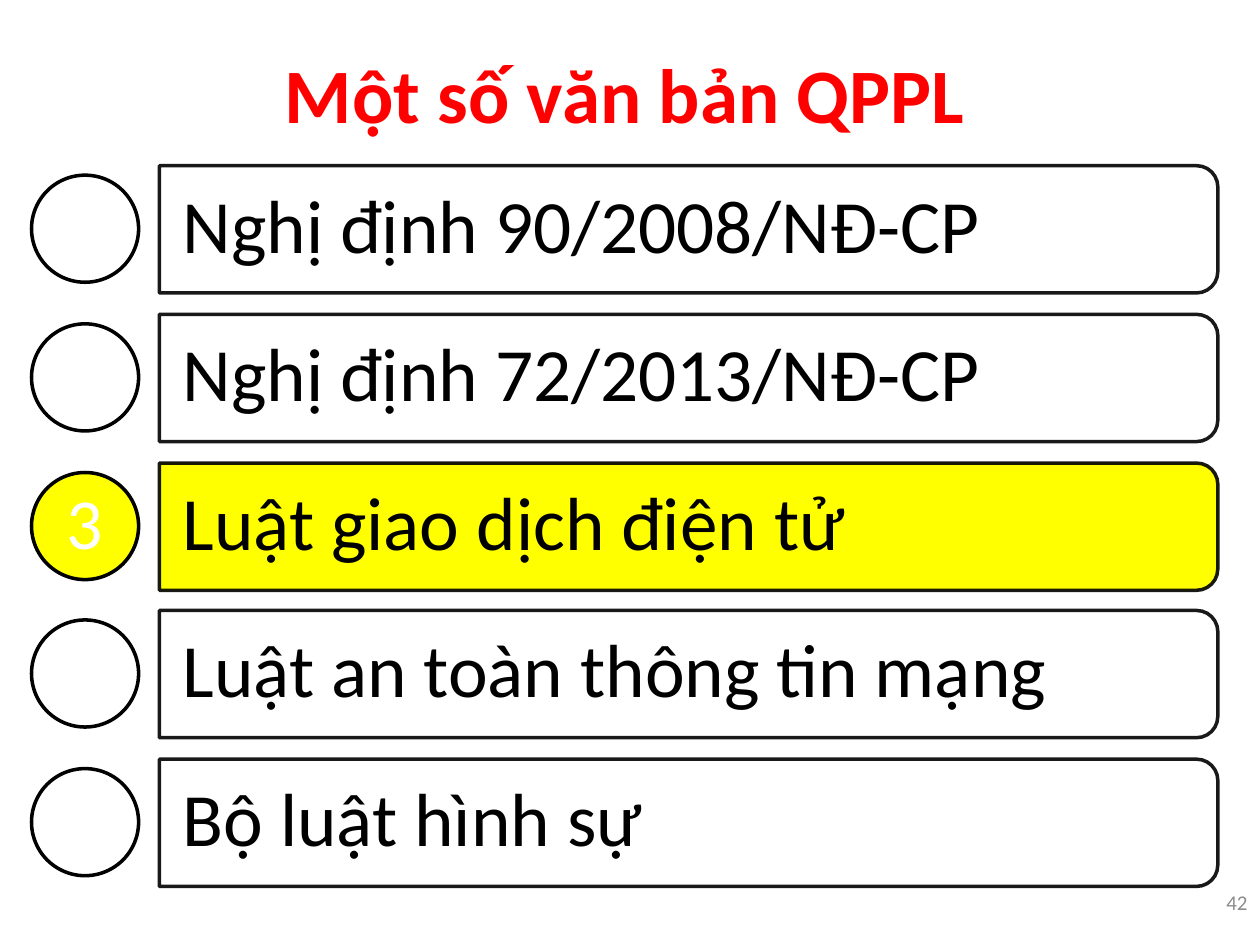
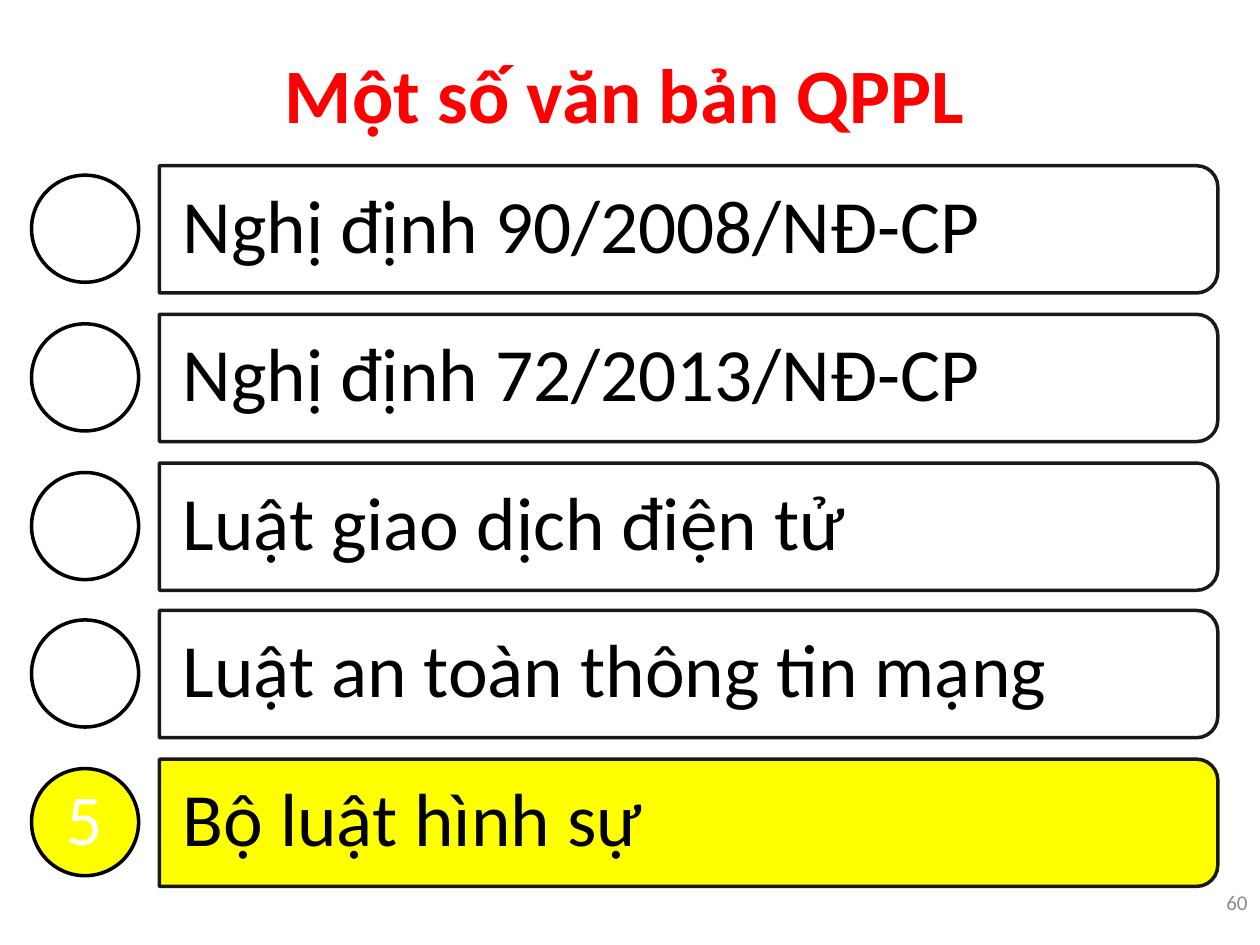
from dataclasses import dataclass
from typing import NamedTuple

from lxml.etree import SubElement
from pptx import Presentation
from pptx.dml.color import RGBColor
from pptx.enum.shapes import MSO_SHAPE as Shape
from pptx.enum.text import MSO_ANCHOR as Anchor, PP_ALIGN as Align
from pptx.oxml.ns import qn
from pptx.util import Emu, Pt

EMU_PER_PX = 9144
TITLE_ONLY_LAYOUT = 5


@dataclass(frozen=True)
class Theme:
    font: str = "Calibri"
    paper: str = "FFFFFF"
    ink: str = "000000"
    highlight: str = "FFFF00"
    heading: str = "FF0000"
    muted: str = "8C8C8C"
    heading_size: int = 44
    law_size: int = 43
    number_size: int = 41
    page_size: int = 12
    outline: int = 2
    opacity: int = 90


class Box(NamedTuple):
    left: int
    top: int
    width: int
    height: int

    def emu(self) -> list[Emu]:
        return [px(length) for length in self]

    def inset(self, margin: int) -> "Box":
        return Box(self.left + margin, self.top + margin,
                   self.width - 2 * margin, self.height - 2 * margin)

    def turned(self) -> "Box":
        shift = (self.width - self.height) // 2
        return Box(self.left + shift, self.top - shift, self.height, self.width)


class Agenda(NamedTuple):
    current: int
    page: str


THEME = Theme()
HEADING = "Một số văn bản QPPL"
LAWS = (
    "Nghị định 90/2008/NĐ-CP",
    "Nghị định 72/2013/NĐ-CP",
    "Luật giao dịch điện tử",
    "Luật an toàn thông tin mạng",
    "Bộ luật hình sự",
)
AGENDAS = (Agenda(3, "42"), Agenda(5, "60"))

HEADING_BOX = Box(25, 30, 942, 87)
PAGE_BOX = Box(933, 682, 67, 68)
FIRST_ROW_TOP = 131
LAST_ROW_TOP = 602
BAR_LEFT, BAR_WIDTH, BAR_HEIGHT = 127, 840, 101
BADGE_LEFT, BADGE_SIZE = 25, 85


def px(length: int) -> Emu:
    return Emu(length * EMU_PER_PX)


def color(code: str) -> RGBColor:
    return RGBColor.from_string(code)


def write(frame, text: str, size: int, code: str, align: Align,
          bold: bool = False, spacing: float = 1.0) -> None:
    frame.word_wrap = True
    frame.vertical_anchor = Anchor.MIDDLE
    frame.text = text
    paragraph = frame.paragraphs[0]
    paragraph.alignment = align
    paragraph.line_spacing = spacing
    paragraph.font.name = THEME.font
    paragraph.font.size = Pt(size)
    paragraph.font.bold = bold
    paragraph.font.color.rgb = color(code)


def add_label(slide, box: Box, text: str, size: int, code: str, align: Align,
              margins: tuple[int, int] = (10, 5), spacing: float = 1.0) -> None:
    frame = slide.shapes.add_textbox(*box.emu()).text_frame
    frame.margin_left = frame.margin_right = px(margins[0])
    frame.margin_top = frame.margin_bottom = px(margins[1])
    write(frame, text, size, code, align, spacing=spacing)


def add_outlined(slide, preset: Shape, box: Box, fill: str):
    outlined = slide.shapes.add_shape(preset, *box.emu())
    outlined.shadow.inherit = False
    outlined.fill.solid()
    outlined.fill.fore_color.rgb = color(fill)
    outlined.line.color.rgb = color(THEME.ink)
    outlined.line.width = Pt(THEME.outline)
    return outlined


def set_opacity(solid_fill, percent: int) -> None:
    SubElement(solid_fill[0], qn("a:alpha")).set("val", str(percent * 1000))


def add_law(slide, number: int, law: str, is_current: bool) -> None:
    progress = (number - 1) / (len(LAWS) - 1)
    top = FIRST_ROW_TOP + round((LAST_ROW_TOP - FIRST_ROW_TOP) * progress)
    fill = THEME.highlight if is_current else THEME.paper

    bar_box = Box(BAR_LEFT, top, BAR_WIDTH, BAR_HEIGHT)
    bar = add_outlined(slide, Shape.ROUND_2_SAME_RECTANGLE, bar_box.turned(), fill)
    bar.rotation = 90
    properties = bar._element.spPr
    set_opacity(properties.find(qn("a:ln")).find(qn("a:solidFill")), THEME.opacity)
    if not is_current:
        set_opacity(properties.find(qn("a:solidFill")), THEME.opacity)
    add_label(slide, bar_box.inset(5)._replace(left=BAR_LEFT), law, THEME.law_size,
              THEME.ink, Align.LEFT, margins=(18, 12), spacing=0.9)

    badge_box = Box(BADGE_LEFT, top + (BAR_HEIGHT - BADGE_SIZE) // 2,
                    BADGE_SIZE, BADGE_SIZE)
    add_outlined(slide, Shape.OVAL, badge_box, fill)
    if is_current:
        add_label(slide, badge_box.inset(12), str(number), THEME.number_size,
                  THEME.paper, Align.CENTER, margins=(0, 0), spacing=0.9)


def add_agenda(deck, agenda: Agenda) -> None:
    slide = deck.slides.add_slide(deck.slide_layouts[TITLE_ONLY_LAYOUT])
    heading = slide.shapes.title
    heading.left, heading.top, heading.width, heading.height = HEADING_BOX.emu()
    write(heading.text_frame, HEADING, THEME.heading_size, THEME.heading,
          Align.CENTER, bold=True)
    for number, law in enumerate(LAWS, start=1):
        add_law(slide, number, law, number == agenda.current)
    add_label(slide, PAGE_BOX, agenda.page, THEME.page_size, THEME.muted, Align.RIGHT)


def main() -> None:
    deck = Presentation()
    deck.slide_width, deck.slide_height = px(1000), px(750)
    for agenda in AGENDAS:
        add_agenda(deck, agenda)
    deck.save("out.pptx")


if __name__ == "__main__":
    main()
